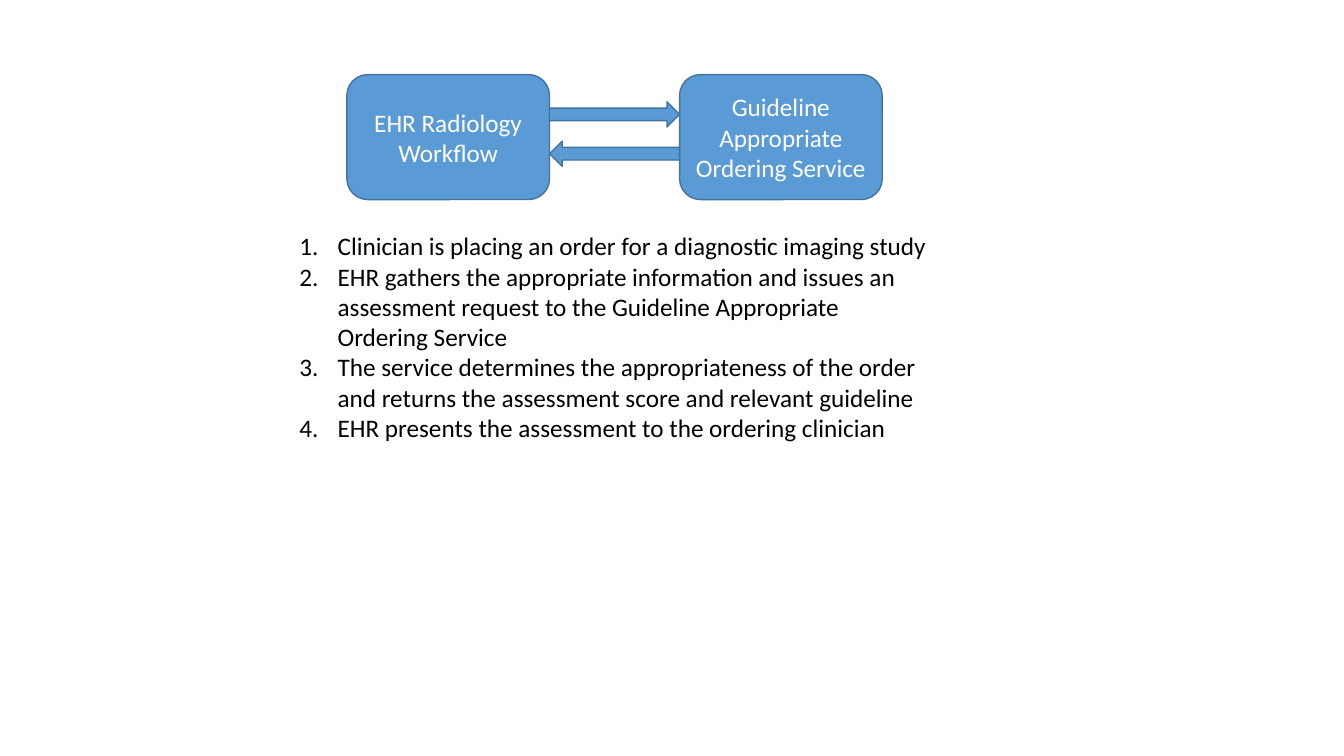
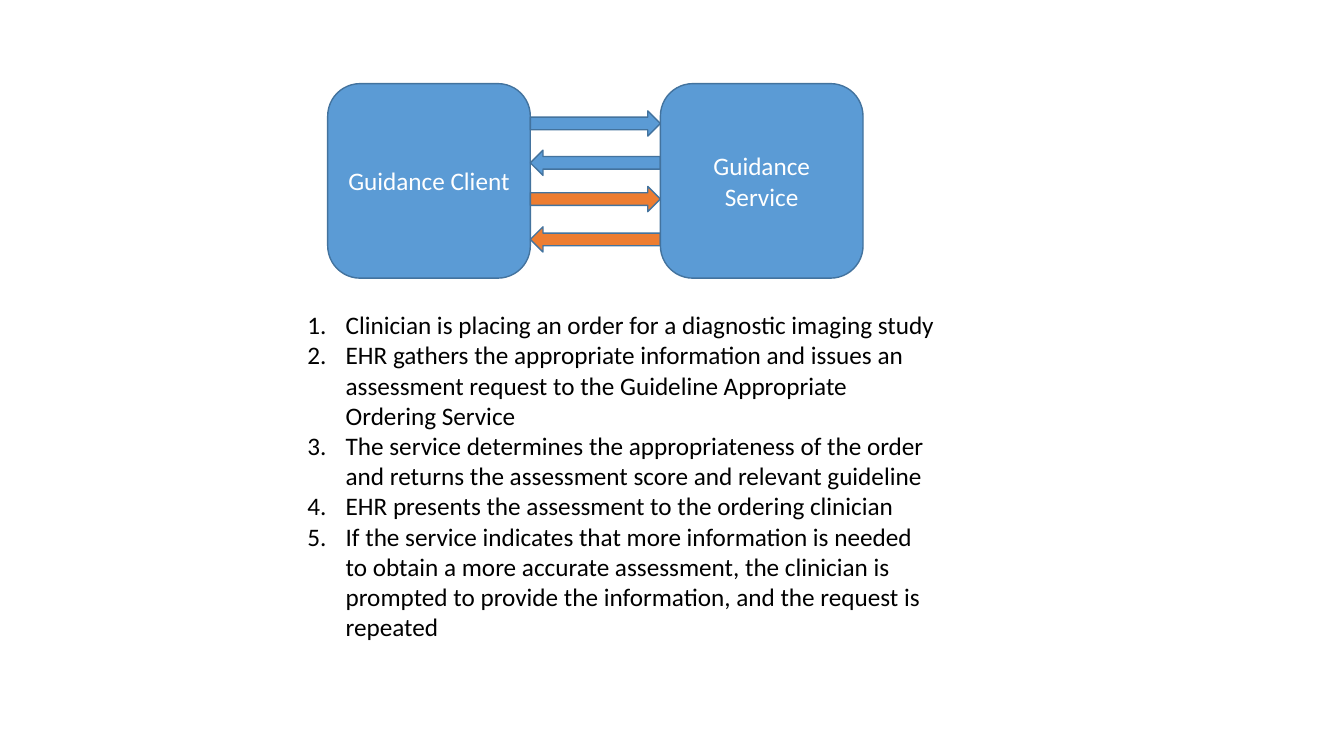
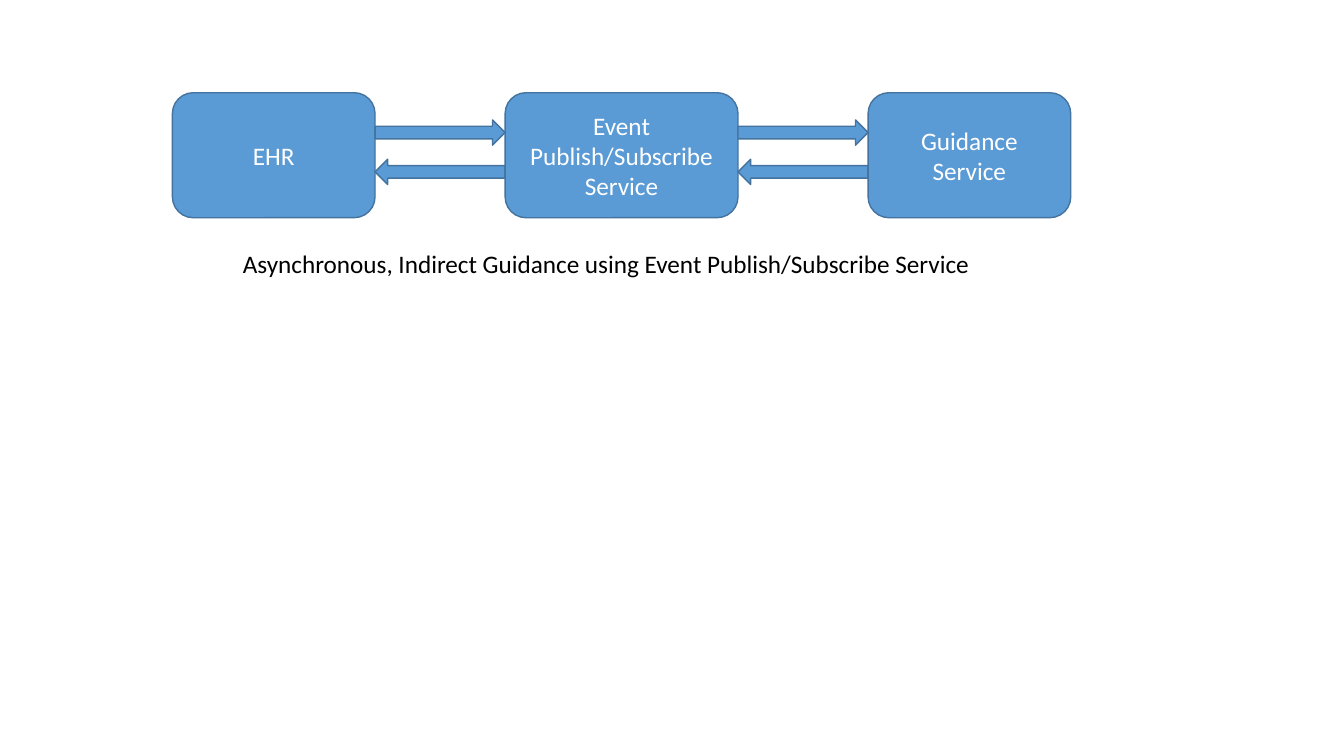
import pptx
import pptx.util
import pptx.dml.color
import pptx.enum.shapes
import pptx.enum.text
import pptx.oxml.ns
import lxml.etree

Inches = pptx.util.Inches
SHAPES = pptx.enum.shapes.MSO_SHAPE
COLORS = {"box": "5B9BD5", "outline": "43739E", "followup": "ED7D31",
          "label": "FFFFFF", "body": "000000"}
GAP = 1.29
ARROW_HEIGHT = 0.25
INDENT = 0.38


def write_text(frame, lines, color, **paragraph_format):
    frame.word_wrap = True
    for index, line in enumerate(lines):
        paragraph = frame.paragraphs[0] if index == 0 else frame.add_paragraph()
        run = paragraph.add_run()
        run.text = line
        for name, value in {"name": "Calibri", "size": pptx.util.Pt(18)}.items():
            setattr(run.font, name, value)
        run.font.color.rgb = pptx.dml.color.RGBColor.from_string(COLORS[color])
        for name, value in paragraph_format.items():
            setattr(paragraph, name, value)


def add_block(slide, preset, left, top, width, height, fill):
    block = slide.shapes.add_shape(
        preset, Inches(left), Inches(top), Inches(width), Inches(height))
    block.shadow.inherit = False
    block.fill.solid()
    block.fill.fore_color.rgb = pptx.dml.color.RGBColor.from_string(COLORS[fill])
    block.line.color.rgb = pptx.dml.color.RGBColor.from_string(COLORS["outline"])
    block.line.width = pptx.util.Pt(1)
    return block


order_steps = [
    "Clinician is placing an order for a diagnostic imaging study",
    "EHR gathers the appropriate information and issues an assessment request "
    "to the Guideline Appropriate Ordering Service",
    "The service determines the appropriateness of the order and returns the "
    "assessment score and relevant guideline",
    "EHR presents the assessment to the ordering clinician",
]
repeat_step = (
    "If the service indicates that more information is needed to obtain a more "
    "accurate assessment, the clinician is prompted to provide the information, "
    "and the request is repeated")

request_pair = [(0.27, "box"), (0.66, "box")]
followup_pair = [(1.02, "followup"), (1.42, "followup")]

workflows = [
    {"left": 3.44, "top": 0.74, "height": 1.24, "arrows": request_pair,
     "systems": [("EHR Radiology Workflow", 2.01),
                 ("Guideline Appropriate Ordering Service", 2.01)],
     "text": order_steps, "text_area": (2.87, 2.24, 6.45, 2.22), "numbered": True},
    {"left": 3.25, "top": 0.83, "height": 1.93,
     "arrows": request_pair + followup_pair,
     "systems": [("Guidance Client", 2.01), ("Guidance Service", 2.01)],
     "text": order_steps + [repeat_step],
     "text_area": (2.95, 3.02, 6.45, 3.43), "numbered": True},
    {"left": 1.71, "top": 0.92, "height": 1.24, "arrows": request_pair,
     "systems": [("EHR", 2.01), ("Event Publish/Subscribe Service", 2.31),
                 ("Guidance Service", 2.01)],
     "text": ["Asynchronous, Indirect Guidance using Event Publish/Subscribe Service"],
     "text_area": (2.31, 2.41, 7.71, 0.4), "numbered": False},
]

presentation = pptx.Presentation()
presentation.slide_width = Inches(13.33)
presentation.slide_height = Inches(7.5)
blank_layout = presentation.slide_layouts[6]

for workflow in workflows:
    slide = presentation.slides.add_slide(blank_layout)
    left, top = workflow["left"], workflow["top"]

    for position, (label, width) in enumerate(workflow["systems"]):
        system = add_block(slide, SHAPES.ROUNDED_RECTANGLE, left, top, width,
                           workflow["height"], "box")
        system.text_frame.vertical_anchor = pptx.enum.text.MSO_ANCHOR.MIDDLE
        write_text(system.text_frame, [label], "label",
                   alignment=pptx.enum.text.PP_ALIGN.CENTER)
        left += width
        if position < len(workflow["systems"]) - 1:
            for order, (offset, fill) in enumerate(workflow["arrows"]):
                arrow = add_block(slide, SHAPES.RIGHT_ARROW, left, top + offset,
                                  GAP, ARROW_HEIGHT, fill)
                arrow.rotation = 180 * (order % 2)
        left += GAP

    description = slide.shapes.add_textbox(
        *[Inches(length) for length in workflow["text_area"]]).text_frame
    write_text(description, workflow["text"], "body")
    description.auto_size = pptx.enum.text.MSO_AUTO_SIZE.SHAPE_TO_FIT_TEXT
    if workflow["numbered"]:
        for step in description.paragraphs:
            properties = step._p.get_or_add_pPr()
            properties.set("marL", str(Inches(INDENT)))
            properties.set("indent", str(-Inches(INDENT)))
            lxml.etree.SubElement(properties, pptx.oxml.ns.qn("a:buFont"),
                                  typeface="+mj-lt")
            lxml.etree.SubElement(properties, pptx.oxml.ns.qn("a:buAutoNum"),
                                  type="arabicPeriod")

presentation.save("out.pptx")
